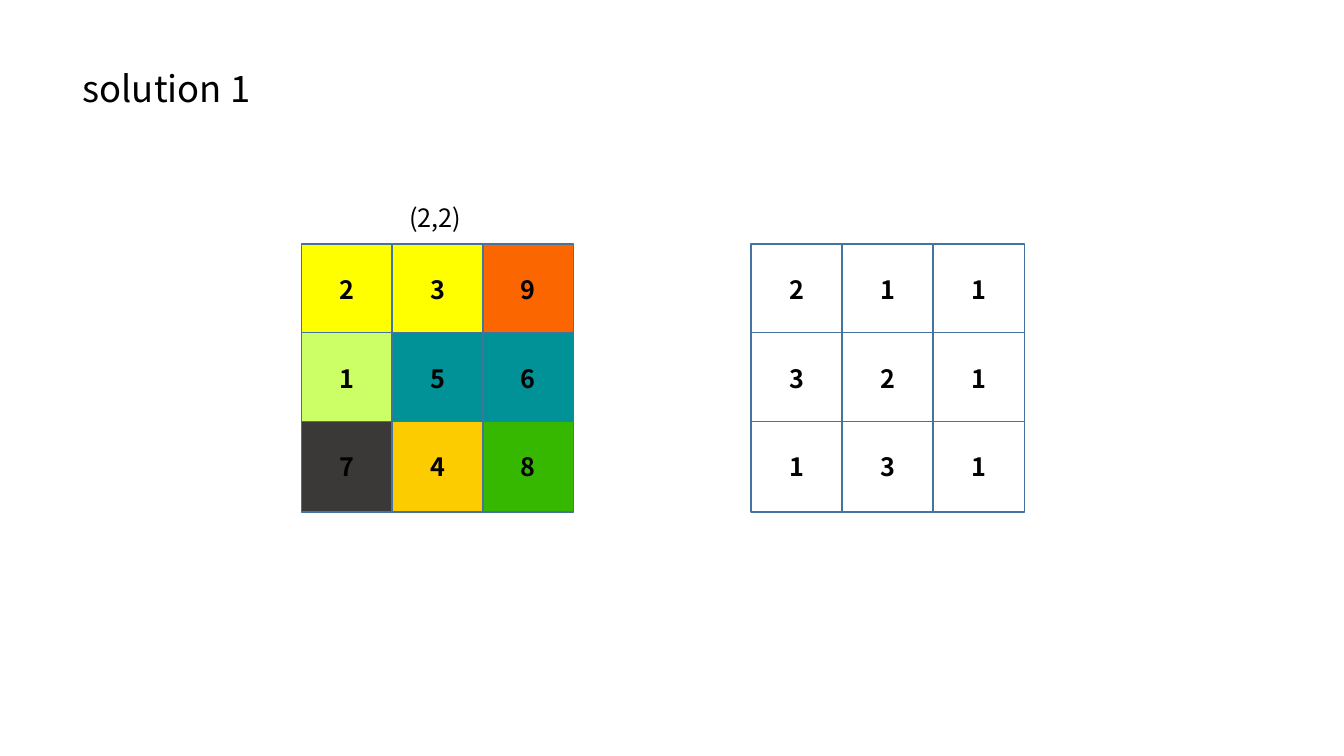
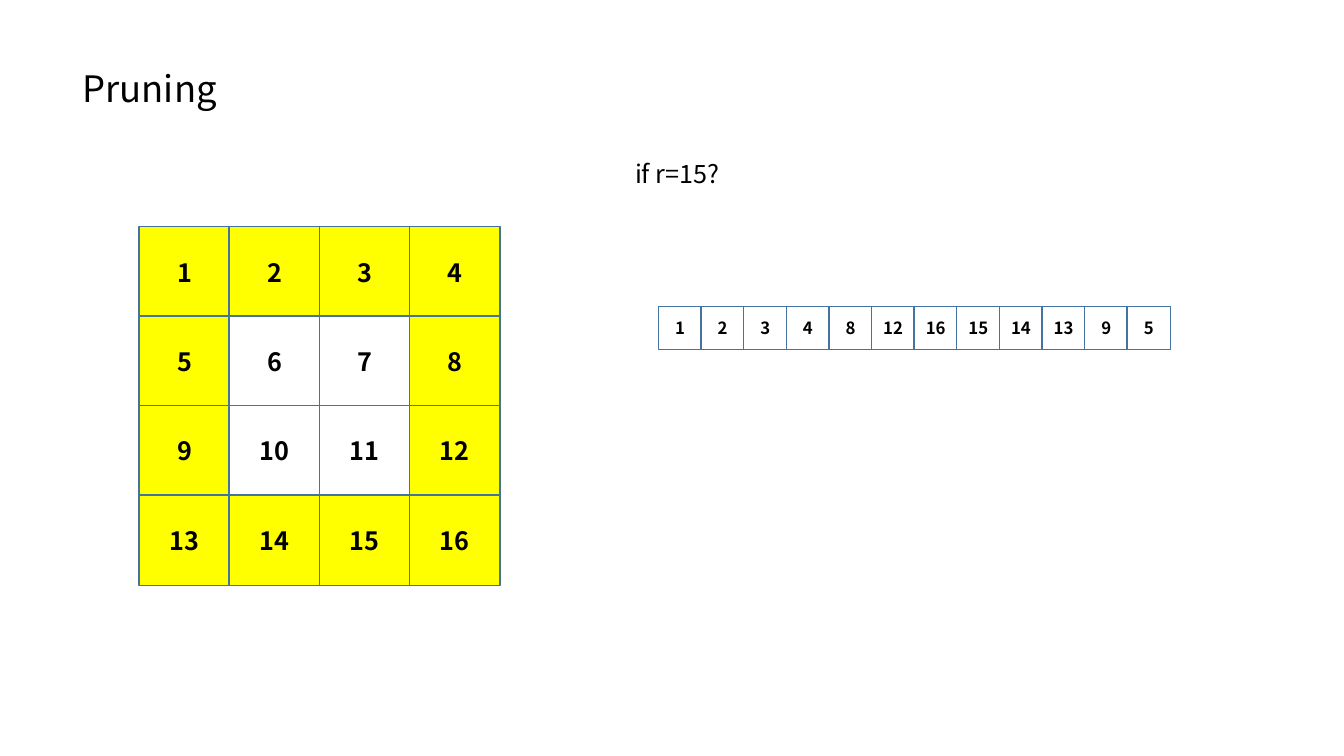
"""Build two slides on grid ranking: a neighbourhood count and ring pruning."""
from dataclasses import dataclass

from pptx import Presentation
from pptx.dml.color import RGBColor
from pptx.enum.shapes import MSO_SHAPE
from pptx.enum.text import MSO_ANCHOR, MSO_AUTO_SIZE, PP_ALIGN
from pptx.util import Inches, Pt

RECTANGLE = MSO_SHAPE.RECTANGLE
MIDDLE = MSO_ANCHOR.MIDDLE
GROW = MSO_AUTO_SIZE.SHAPE_TO_FIT_TEXT
CENTER = PP_ALIGN.CENTER


@dataclass(frozen=True)
class Theme:
    font: str = "Noto Sans CJK KR"
    ink: str = "000000"
    border: str = "43739E"
    white: str = "FFFFFF"
    yellow: str = "FFFF00"
    orange: str = "FC6600"
    lime: str = "CCFF66"
    teal: str = "009297"
    charcoal: str = "3B3838"
    amber: str = "FCCC00"
    green: str = "36B700"
    title_size: int = 26
    body_size: int = 18
    small_size: int = 12
    border_width: int = 1


THEME = Theme()
TITLE_BOX = (0.72, 0.61, 2.28, 0.54)
LARGE_CELL = 0.9
SMALL_CELL = 0.43

RANKED = [[2, 3, 9], [1, 5, 6], [7, 4, 8]]
RANKED_FILLS = [
    [THEME.yellow, THEME.yellow, THEME.orange],
    [THEME.lime, THEME.teal, THEME.teal],
    [THEME.charcoal, THEME.amber, THEME.green],
]
COUNTS = [[2, 1, 1], [3, 2, 1], [1, 3, 1]]
MATRIX = [[1, 2, 3, 4], [5, 6, 7, 8], [9, 10, 11, 12], [13, 14, 15, 16]]
RING = [[1, 2, 3, 4, 8, 12, 16, 15, 14, 13, 9, 5]]


def ring_fills(values):
    last_row, last_column = len(values) - 1, len(values[0]) - 1
    return [[THEME.yellow if row in (0, last_row) or column in (0, last_column)
             else THEME.white for column in range(last_column + 1)]
            for row in range(last_row + 1)]


SLIDES = [
    {
        "title": "solution 1",
        "label": ("(2,2)", (3.96, 1.96, 0.76, 0.4)),
        "grids": [
            {"values": RANKED, "fills": RANKED_FILLS, "first": (2.99, 2.42),
             "last": (4.79, 4.18), "cell": LARGE_CELL, "size": THEME.body_size},
            {"values": COUNTS, "first": (7.45, 2.42),
             "last": (9.26, 4.18), "cell": LARGE_CELL, "size": THEME.body_size},
        ],
    },
    {
        "title": "Pruning",
        "label": ("if r=15?", (6.2, 1.52, 1.11, 0.4)),
        "grids": [
            {"values": MATRIX, "fills": ring_fills(MATRIX), "first": (1.38, 2.25),
             "last": (4.06, 4.91), "cell": LARGE_CELL, "size": THEME.body_size},
            {"values": RING, "first": (6.53, 3.04),
             "last": (11.18, 3.04), "cell": SMALL_CELL, "size": THEME.small_size},
        ],
    },
]


def set_text(frame, text, size, bold=False):
    paragraph = frame.paragraphs[0]
    paragraph.text = text
    paragraph.font.name = THEME.font
    paragraph.font.size = Pt(size)
    paragraph.font.bold = bold
    paragraph.font.color.rgb = RGBColor.from_string(THEME.ink)
    return paragraph


def add_label(slide, text, box, size, wrap):
    frame = slide.shapes.add_textbox(*map(Inches, box)).text_frame
    frame.word_wrap = wrap
    frame.auto_size = GROW
    set_text(frame, text, size)


def add_cell(slide, value, left, top, side, fill, size):
    cell = slide.shapes.add_shape(RECTANGLE, *map(Inches, (left, top, side, side)))
    cell.shadow.inherit = False
    cell.fill.solid()
    cell.fill.fore_color.rgb = RGBColor.from_string(fill)
    cell.line.color.rgb = RGBColor.from_string(THEME.border)
    cell.line.width = Pt(THEME.border_width)
    frame = cell.text_frame
    frame.margin_left = frame.margin_right = 0
    frame.vertical_anchor = MIDDLE
    set_text(frame, str(value), size, bold=True).alignment = CENTER


def spread(first, last, count):
    step = (last - first) / max(count - 1, 1)
    return [first + index * step for index in range(count)]


def add_grid(slide, grid):
    values = grid["values"]
    lefts = spread(grid["first"][0], grid["last"][0], len(values[0]))
    tops = spread(grid["first"][1], grid["last"][1], len(values))
    fills = grid.get("fills") or [[THEME.white] * len(lefts)] * len(tops)
    for top, row, row_fills in zip(tops, values, fills):
        for left, value, fill in zip(lefts, row, row_fills):
            add_cell(slide, value, left, top, grid["cell"], fill, grid["size"])


def main():
    deck = Presentation()
    deck.slide_width, deck.slide_height = Inches(13.33), Inches(7.5)
    blank = deck.slide_layouts[6]
    for content in SLIDES:
        slide = deck.slides.add_slide(blank)
        add_label(slide, content["title"], TITLE_BOX, THEME.title_size, wrap=True)
        add_label(slide, *content["label"], THEME.body_size, wrap=False)
        for grid in content["grids"]:
            add_grid(slide, grid)
    deck.save("out.pptx")


if __name__ == "__main__":
    main()
